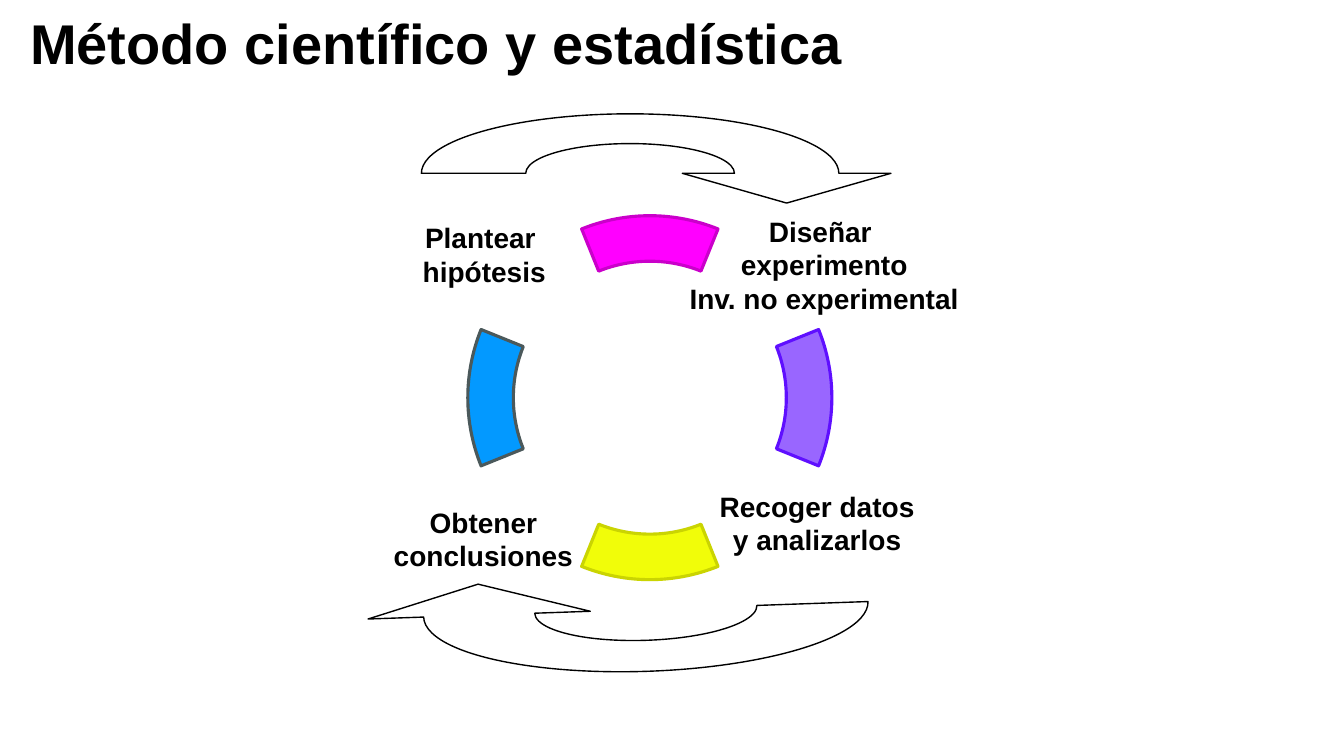
from math import cos, radians, sin

from lxml import etree
from pptx import Presentation
from pptx.dml.color import RGBColor
from pptx.enum.shapes import MSO_SHAPE as Shape
from pptx.enum.text import MSO_ANCHOR as Anchor, MSO_AUTO_SIZE as AutoSize, PP_ALIGN as Align
from pptx.oxml.ns import qn
from pptx.util import Inches, Pt


def color(hex_code):
    return RGBColor.from_string(hex_code)


def add_label(lines, left, top, width, height, size, wrap):
    label = slide.shapes.add_shape(
        Shape.RECTANGLE, Inches(left), Inches(top), Inches(width), Inches(height))
    label.shadow.inherit = False
    label.fill.background()
    label.line.fill.background()
    frame = label.text_frame
    frame.word_wrap = wrap
    frame.auto_size = AutoSize.NONE
    frame.vertical_anchor = Anchor.MIDDLE
    frame.text = lines
    for paragraph in frame.paragraphs:
        paragraph.alignment = Align.CENTER
        paragraph.font.name = "Arial"
        paragraph.font.size = Pt(size)
        paragraph.font.bold = True
        paragraph.font.color.rgb = color("000000")


deck = Presentation()
deck.slide_width = Inches(13.33)
deck.slide_height = Inches(7.5)
slide = deck.slides.add_slide(deck.slide_layouts[6])

add_label("Método científico y estadística", -0.24, 0.14, 9.13, 0.56, 40, True)

cycle = [
    (0, "FF00FF", "CA00CA"),
    (270, "0399FF", "4B595B"),
    (180, "F1FD09", "CAD402"),
    (90, "9966FF", "5F0FFF"),
]
for turn, fill, outline in cycle:
    segment = slide.shapes.add_shape(
        Shape.BLOCK_ARC, Inches(4.64), Inches(2.14), Inches(3.61), Inches(3.61))
    for index, setting in enumerate((248 * 0.6, 292 * 0.6, 0.125)):
        segment.adjustments[index] = setting
    segment.rotation = turn
    segment.shadow.inherit = False
    segment.fill.solid()
    segment.fill.fore_color.rgb = color(fill)
    segment.line.color.rgb = color(outline)
    segment.line.width = Pt(2.25)

steps = [
    ("Plantear\v hipótesis", 4.3, 2.06),
    ("Obtener\vconclusiones", 4.33, 4.88),
    ("Recoger datos\vy analizarlos", 7.64, 4.72),
    ("Diseñar \vexperimento\nInv. no experimental", 7.71, 2.16),
]
for step, left, top in steps:
    add_label(step, left, top, 0.93, 0.93, 20, False)

corners = [(0.5, 0), (-0.5, 0), (-1, 0), (0, -1), (1, 0),
           (1.25, 0), (0.75, 0.5), (0.25, 0)]
arcs = {0: (0.5, 0, -180), 2: (1, 180, 90), 3: (1, 270, 90)}
middle_x, middle_y = 0.125, -0.25

for left, top, width, height, turn in [
    (4.18, 1.13, 4.14, 1.18, 0),
    (4.2, 5.43, 4.41, 1.23, 178),
]:
    radius_x, radius_y = width / 2, height / 2
    shift_x, shift_y = middle_x * radius_x, middle_y * radius_y
    angle = radians(turn)
    origin_x = left + radius_x + shift_x * cos(angle) - shift_y * sin(angle) - shift_x
    origin_y = top + radius_y + shift_x * sin(angle) + shift_y * cos(angle) - shift_y
    points = [(Inches(origin_x + x * radius_x), Inches(origin_y + y * radius_y))
              for x, y in corners]
    builder = slide.shapes.build_freeform(*points[0])
    builder.add_line_segments(points[1:], close=True)
    arrow = builder.convert_to_shape()
    sides = list(arrow._element.iter(qn("a:lnTo")))
    for index, (ratio, start, sweep) in arcs.items():
        curve = etree.Element(qn("a:arcTo"))
        curve.set("wR", str(Inches(ratio * radius_x)))
        curve.set("hR", str(Inches(ratio * radius_y)))
        curve.set("stAng", str(start * 60000))
        curve.set("swAng", str(sweep * 60000))
        sides[index].getparent().replace(sides[index], curve)
    arrow.rotation = turn
    arrow.shadow.inherit = False
    arrow.fill.background()
    arrow.line.color.rgb = color("000000")
    arrow.line.width = Pt(1)

deck.save("out.pptx")
